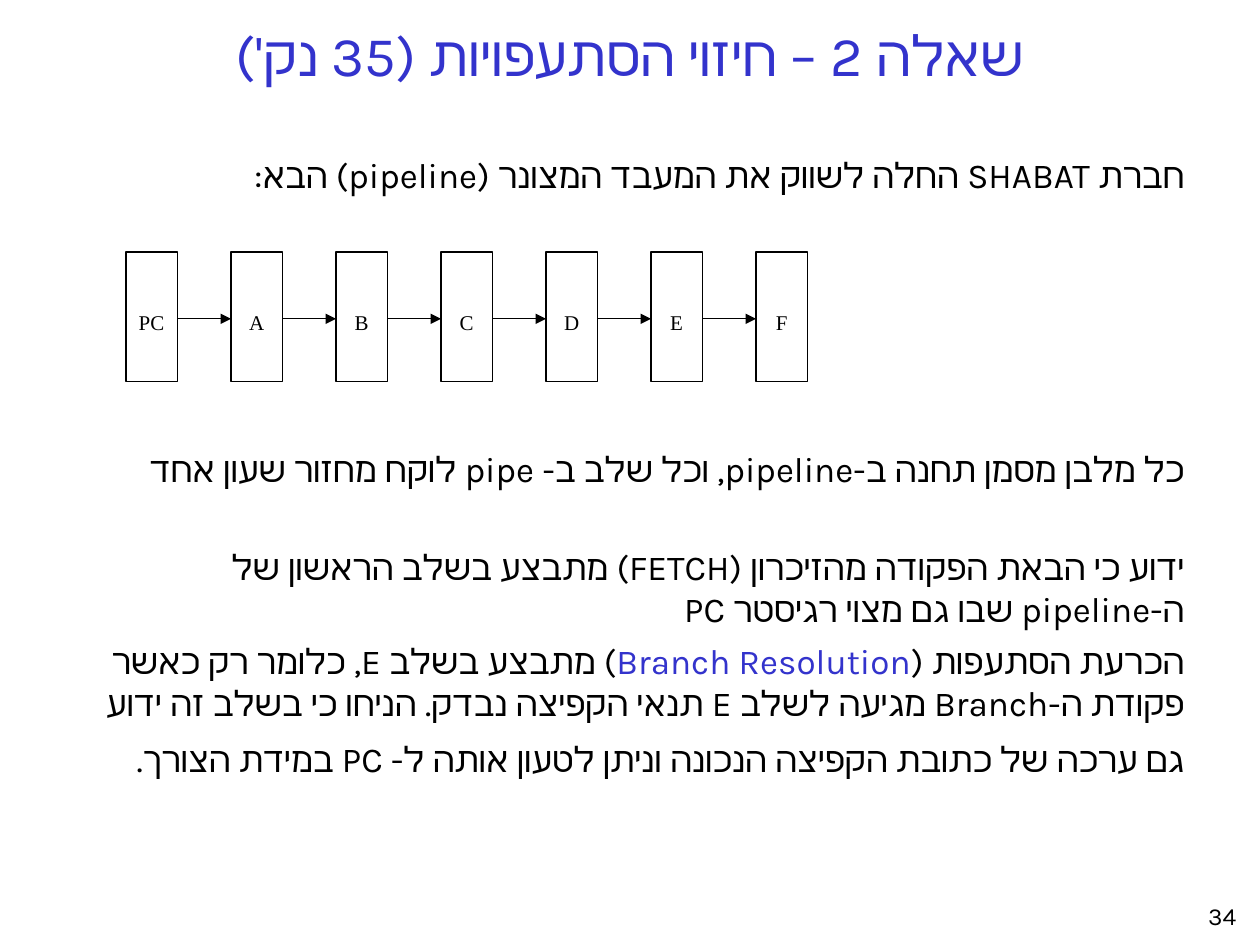
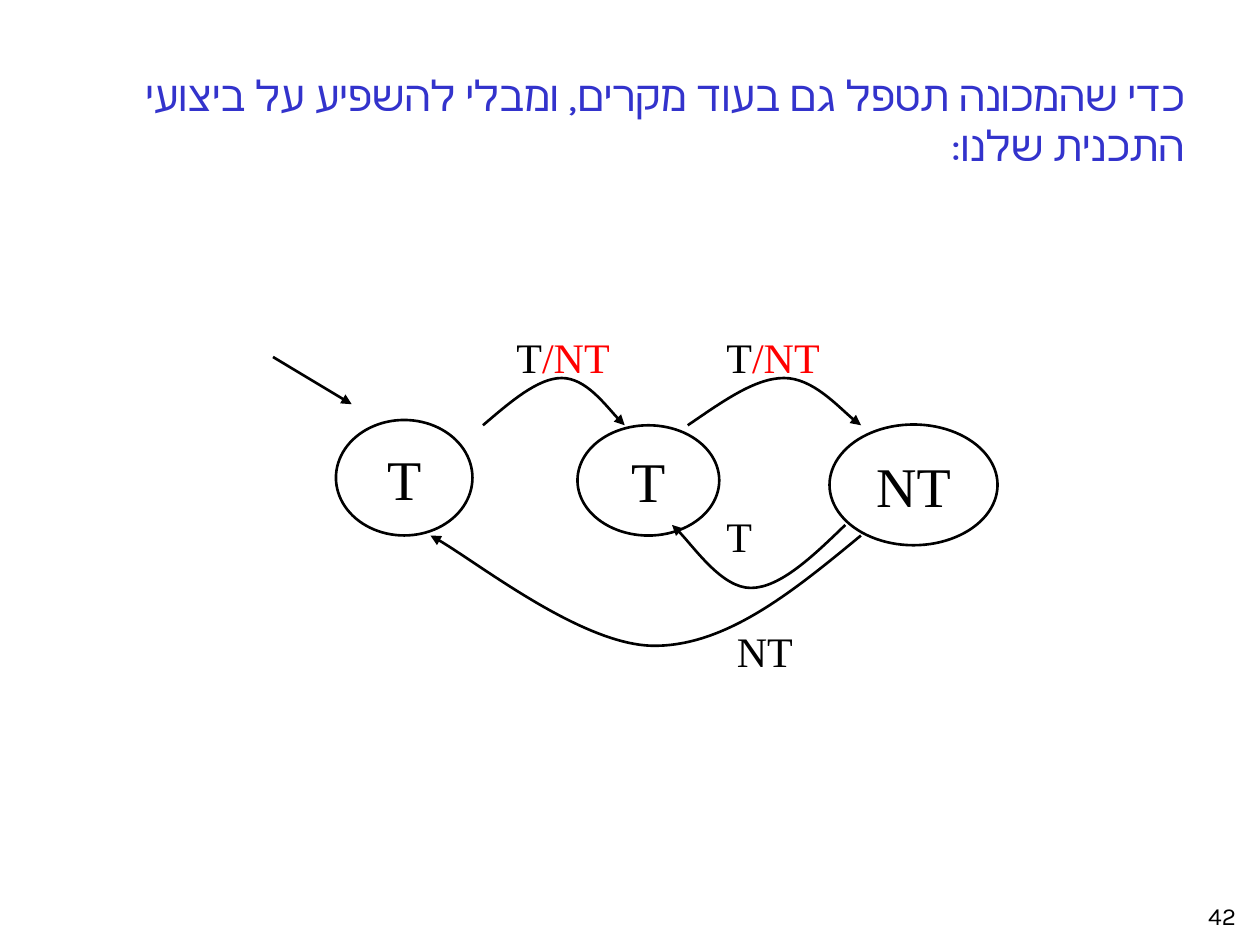
"""Build two Hebrew slides on branch prediction: a pipeline and a state machine."""
import lxml.etree
import pptx
import pptx.dml.color
import pptx.enum.shapes
import pptx.enum.text
import pptx.oxml.ns
import pptx.util

Pt = pptx.util.Pt
qn = pptx.oxml.ns.qn
ALIGN = pptx.enum.text.PP_ALIGN
SHAPE = pptx.enum.shapes.MSO_SHAPE

THEME = {
    "sans": "Karla", "serif": "Times New Roman",
    "ink": "000000", "accent": "3333CC", "alert": "FF0000", "paper": "FFFFFF",
    "title": 32, "lead": 24, "body": 20, "body_end": 28, "number": 14,
    "stage": 12, "state": 32, "label": 24, "thin": 0.75, "thick": 1.5,
}

QUESTION = {
    "number": "34",
    "title": "שאלה 2 – חיזוי הסתעפויות (35 נק')",
    "title_box": (36, 12, 648, 38),
    "body_box": (36, 84, 648, 398),
    "body": [
        (4, [("חברת SHABAT החלה לשווק את המעבד המצונר (pipeline) הבא:", "body", "ink")]),
        (144, [("כל מלבן מסמן תחנה ב-pipeline, וכל שלב ב- pipe לוקח מחזור שעון אחד",
                "body", "ink")]),
        (32, [("ידוע כי הבאת הפקודה מהזיכרון (FETCH) מתבצע בשלב הראשון של "
               "ה-pipeline שבו גם מצוי רגיסטר PC", "body", "ink")]),
        (5.6, [("הכרעת הסתעפות (", "body", "ink"),
               ("Branch Resolution", "body", "accent"),
               (") מתבצע בשלב E, כלומר רק כאשר פקודת ה-Branch מגיעה לשלב E תנאי "
                "הקפיצה נבדק. הניחו כי בשלב זה ידוע גם ערכה של כתובת הקפיצה הנכונה "
                "וניתן לטעון אותה ל- PC במידת הצורך.", "body", "ink"),
               (" ", "body_end", "ink")]),
    ],
}
STAGES = ["PC", "A", "B", "C", "D", "E", "F"]
STAGE_BOX = (72, 144, 29.3, 74.2)
STAGE_PITCH = 60
STAGE_ARROW_Y = 182.2
STAGE_INSETS = {"margin_left": Pt(1.44), "margin_right": Pt(1.44),
                "margin_top": Pt(9.4), "margin_bottom": Pt(3.6)}

ANSWER = {
    "number": "42",
    "title": None,
    "body_box": (18, 36, 666, 84),
    "body": [(4.8, [("כדי שהמכונה תטפל גם בעוד מקרים, ומבלי להשפיע על ביצועי התכנית שלנו:",
                     "lead", "accent")])],
}
STATES = [("T", (192, 240, 78, 66)), ("T", (330, 243, 81, 63)), ("NT", (474, 242.6, 96, 69))]
TRANSITIONS = [
    [(276, 243), (291.6, 229.7), (307.4, 216), (321, 216),
     (334.8, 216), (351.4, 238.3), (357, 243)],
    [(393, 243), (412.6, 229.7), (431.3, 216), (448, 216),
     (464.4, 216), (484.6, 238.3), (492, 243)],
    [(492, 306), (453.6, 337.7), (415.4, 369), (374, 369),
     (333.4, 369), (267.1, 316.8), (246, 306)],
    [(483, 300), (464.4, 318), (445.7, 336), (429, 336),
     (412.6, 336), (391.7, 306), (384, 300)],
]
START_ARROW = ((156, 204), (201, 231))
EITHER = [("T", "label", "ink"), ("/NT", "label", "alert")]
LABELS = [
    (EITHER, (288, 186, 96, 42)),
    (EITHER, (408, 186, 96, 42)),
    ([("T", "label", "ink")], (408, 288, 54, 42)),
    ([("NT", "label", "ink")], (414, 354, 54, 42)),
]


def color(name):
    return pptx.dml.color.RGBColor.from_string(THEME[name])


def points(values):
    return [Pt(value) for value in values]


def apply(target, values):
    for name, value in values.items():
        setattr(target, name, value)


def place(shape, box):
    apply(shape, dict(zip(("left", "top", "width", "height"), points(box))))


def write(paragraph, runs, face, **layout):
    apply(paragraph, layout)
    for text, size, ink in runs:
        run = paragraph.add_run()
        run.text = text
        apply(run.font, {"name": THEME[face], "size": Pt(THEME[size])})
        run.font.color.rgb = color(ink)
        lxml.etree.SubElement(run.font._element, qn("a:cs"), typeface=THEME[face])


def write_hebrew(paragraph, runs, **layout):
    write(paragraph, runs, "sans", **layout)
    properties = paragraph._p.get_or_add_pPr()
    for name, value in {"marL": "0", "indent": "0", "rtl": "1"}.items():
        properties.set(name, value)
    lxml.etree.SubElement(properties, qn("a:buNone"))


def outline(shape, width, arrow=False):
    shape.line.color.rgb = color("ink")
    shape.line.width = Pt(THEME[width])
    if arrow:
        line = shape._element.spPr.find(qn("a:ln"))
        lxml.etree.SubElement(line, qn("a:tailEnd"), type="triangle")


def add_node(shapes, kind, box, text, size, width, insets):
    node = shapes.add_shape(kind, *points(box))
    node.shadow.inherit = False
    node.fill.solid()
    node.fill.fore_color.rgb = color("paper")
    outline(node, width)
    apply(node.text_frame, insets)
    write(node.text_frame.paragraphs[0], [(text, size, "ink")], "serif", alignment=ALIGN.CENTER)


def add_arrow(shapes, start, end, width):
    arrow = shapes.add_connector(pptx.enum.shapes.MSO_CONNECTOR.STRAIGHT,
                                 *points(start + end))
    outline(arrow, width, arrow=True)
    lxml.etree.SubElement(arrow._element.spPr, qn("a:effectLst"))


def add_curve(shapes, nodes):
    start, *rest = [points(node) for node in nodes]
    builder = shapes.build_freeform(*start, scale=1.0)
    builder.add_line_segments(rest, close=False)
    curve = builder.convert_to_shape()
    curve.shadow.inherit = False
    curve.fill.background()
    outline(curve, "thick", arrow=True)
    segments = list(curve._element.iter(qn("a:lnTo")))
    route = segments[0].getparent()
    for first in range(0, len(segments), 3):
        bezier = lxml.etree.SubElement(route, qn("a:cubicBezTo"))
        for segment in segments[first:first + 3]:
            bezier.append(segment[0])
            route.remove(segment)


def add_label(shapes, runs, box, face):
    label = shapes.add_textbox(*points(box))
    label.text_frame.word_wrap = True
    write(label.text_frame.paragraphs[0], runs, face)


def add_slide(deck, content):
    slide = deck.slides.add_slide(deck.slide_layouts[1])
    title, body = slide.placeholders
    if content["title"]:
        place(title, content["title_box"])
        title.text_frame.auto_size = pptx.enum.text.MSO_AUTO_SIZE.NONE
        write_hebrew(title.text_frame.paragraphs[0], [(content["title"], "title", "accent")],
                     alignment=ALIGN.CENTER)
    else:
        title._element.getparent().remove(title._element)
    place(body, content["body_box"])
    body.text_frame.auto_size = pptx.enum.text.MSO_AUTO_SIZE.NONE
    for index, (gap, runs) in enumerate(content["body"]):
        frame = body.text_frame
        paragraph = frame.add_paragraph() if index else frame.paragraphs[0]
        write_hebrew(paragraph, runs, alignment=ALIGN.RIGHT, space_before=Pt(gap))
    add_label(slide.shapes, [(content["number"], "number", "ink")],
              (683.3, 511.2, 36, 24.5), "sans")
    return slide


def draw_pipeline(slide):
    pipeline = slide.shapes.add_group_shape().shapes
    left, top, width, height = STAGE_BOX
    for index, stage in enumerate(STAGES):
        x = left + index * STAGE_PITCH
        add_node(pipeline, SHAPE.RECTANGLE, (x, top, width, height), stage,
                 "stage", "thin", STAGE_INSETS)
        if index:
            add_arrow(pipeline, (x - STAGE_PITCH + width, STAGE_ARROW_Y),
                      (x, STAGE_ARROW_Y), "thin")


def draw_state_machine(slide):
    for state, box in STATES:
        add_node(slide.shapes, SHAPE.OVAL, box, state, "state", "thick", {})
    for nodes in TRANSITIONS:
        add_curve(slide.shapes, nodes)
    add_arrow(slide.shapes, *START_ARROW, "thick")
    for runs, box in LABELS:
        add_label(slide.shapes, runs, box, "serif")


deck = pptx.Presentation()
apply(deck, {"slide_width": Pt(720), "slide_height": Pt(540)})
draw_pipeline(add_slide(deck, QUESTION))
draw_state_machine(add_slide(deck, ANSWER))
deck.save("out.pptx")
